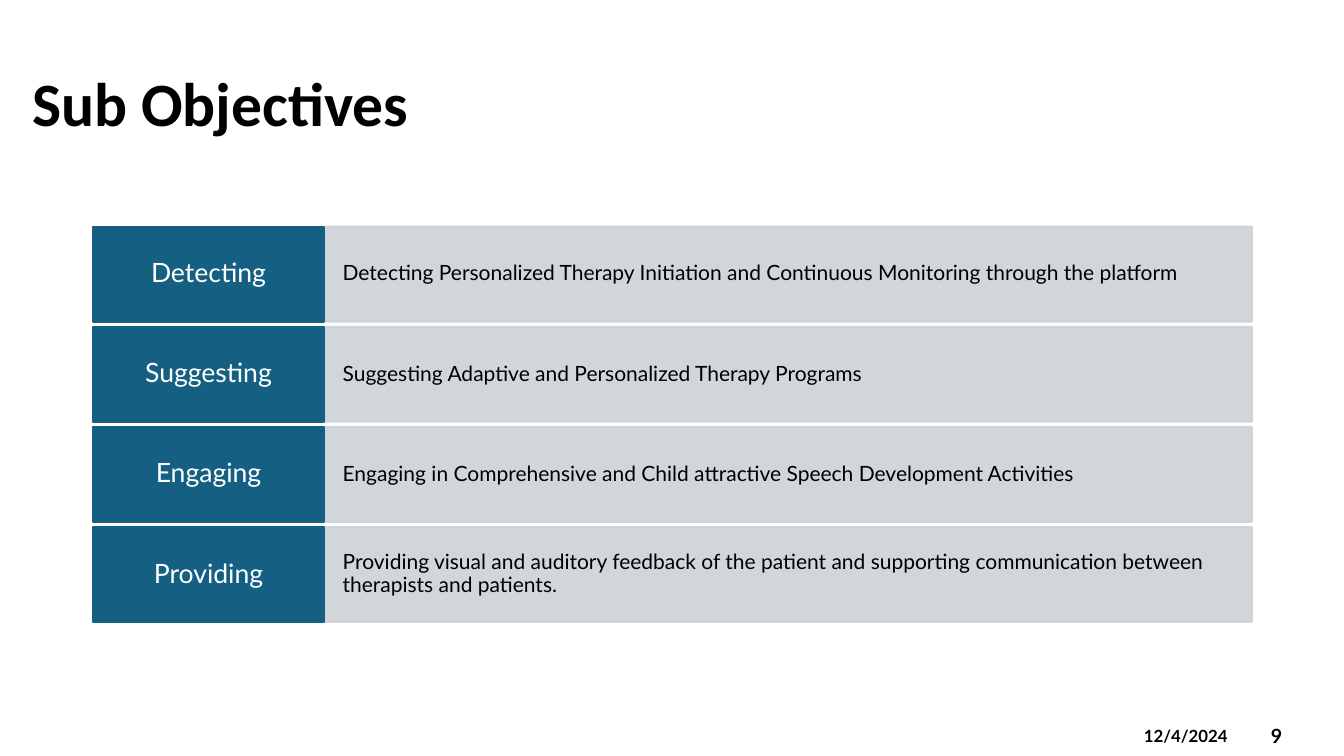
from lxml.etree import SubElement
from pptx import Presentation
from pptx.dml.color import RGBColor as RGB
from pptx.enum.shapes import MSO_SHAPE as SHAPE
from pptx.enum.text import MSO_ANCHOR as ANCHOR, PP_ALIGN as ALIGN
from pptx.oxml.ns import qn
from pptx.util import Pt

BLACK = RGB(0, 0, 0)
WHITE = RGB(255, 255, 255)
TEAL = RGB(0x15, 0x60, 0x82)
GREY = RGB(0xCC, 0xD2, 0xD8)

TOP, PITCH, HIGH = 162, 71.5, 67.7
ROWS = [
    ("Detecting", "Detecting Personalized Therapy Initiation and Continuous "
     "Monitoring through the platform"),
    ("Suggesting", "Suggesting Adaptive and Personalized Therapy Programs"),
    ("Engaging", "Engaging in Comprehensive and Child attractive Speech "
     "Development Activities"),
    ("Providing", "Providing visual and auditory feedback of the patient and "
     "supporting communication between therapists and patients."),
]
TAG = {
    "left": 66.2, "width": 165.6, "fill": TEAL, "alpha": 100,
    "frame": {"margin_left": Pt(8.6), "margin_right": Pt(8.6),
              "margin_top": Pt(6.5), "margin_bottom": Pt(6.5)},
    "para": {"alignment": ALIGN.CENTER, "line_spacing": 0.9},
    "font": {"name": "Lato", "size": Pt(19)}, "ink": WHITE,
}
GOAL = {
    "left": 231.8, "width": 662.4, "fill": GREY, "alpha": 90,
    "frame": {"margin_left": Pt(13), "margin_right": Pt(13),
              "margin_top": Pt(17.3), "margin_bottom": Pt(17.3)},
    "para": {"alignment": ALIGN.LEFT, "line_spacing": 0.9},
    "font": {"name": "Lato", "size": Pt(15)}, "ink": BLACK,
}
LABELS = [
    ("Sub Objectives", (15.8, 41.8, 920.2, 68.4), ANCHOR.MIDDLE, 0.9,
     {"name": "Calibri", "size": Pt(44), "bold": True}),
    ("12/4/2024", (810, 514.8, 84.2, 21.6), ANCHOR.TOP, 1.0,
     {"name": "Lato", "size": Pt(12), "bold": True}),
    ("9", (900.7, 511.2, 53.3, 28.8), ANCHOR.MIDDLE, 1.0,
     {"name": "Lato", "size": Pt(14), "bold": True}),
]


def apply(item, style):
    for key, value in style.items():
        setattr(item, key, value)


def write(shape, text, frame, para, font, ink):
    body = shape.text_frame
    apply(body, {"word_wrap": True, **frame})
    line = body.paragraphs[0]
    line.text = text
    apply(line, para)
    apply(line.font, font)
    line.font.color.rgb = ink


deck = Presentation()
apply(deck, {"slide_width": Pt(960), "slide_height": Pt(540)})
slide = deck.slides.add_slide(deck.slide_layouts[6])

for text, box, anchor, space, font in LABELS:
    label = slide.shapes.add_textbox(*map(Pt, box))
    write(label, text, {"vertical_anchor": anchor}, {"line_spacing": space},
          font, BLACK)

for row, pair in enumerate(ROWS):
    for text, look in zip(reversed(pair), (GOAL, TAG)):
        bar = slide.shapes.add_shape(
            SHAPE.RECTANGLE, Pt(look["left"]), Pt(TOP + row * PITCH),
            Pt(look["width"]), Pt(HIGH))
        bar.shadow.inherit = False
        bar.line.width = Pt(1.5)
        for paint in (bar.fill, bar.line.fill):
            paint.solid()
            paint.fore_color.rgb = look["fill"]
        if look["alpha"] < 100:
            for color in bar.element.spPr.iter(qn("a:srgbClr")):
                SubElement(color, qn("a:alpha"), val=str(look["alpha"] * 1000))
        write(bar, text, {"vertical_anchor": ANCHOR.MIDDLE, **look["frame"]},
              look["para"], look["font"], look["ink"])

deck.save("out.pptx")
